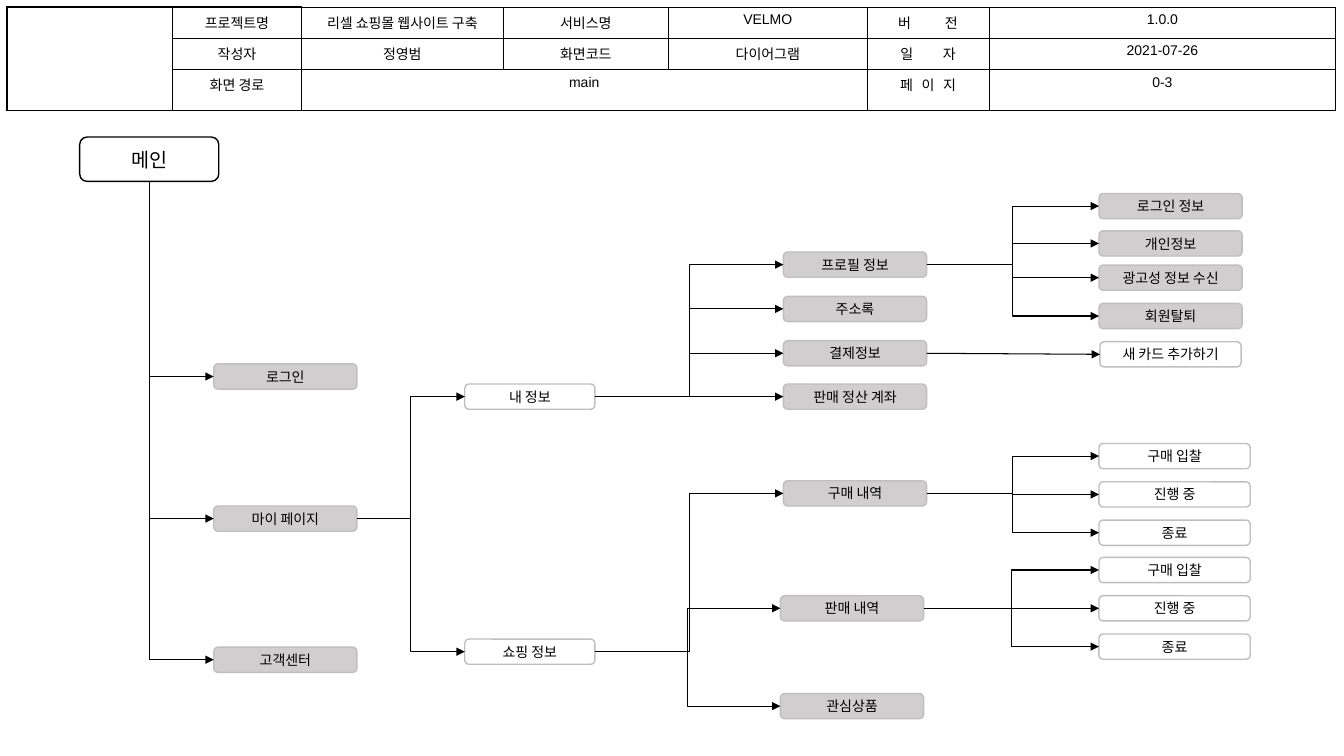
from collections import namedtuple

from lxml import etree
from pptx import Presentation
from pptx import util as u
from pptx.dml.color import RGBColor
from pptx.enum import shapes, text
from pptx.oxml import ns

BLACK, WHITE, GRAY, EDGE = "000000", "FFFFFF", "D0CECE", "BFBFBF"
HEADER_COLUMNS = [1.64, 1.28, 2, 1.64, 1.97, 1.21, 1.72, 1.72]
HEADER_ROWS = [0.31, 0.31, 0.37]
# (row, column): text, columns spanned, letter spacing in points
HEADER_CELLS = {
    (0, 1): ("프로젝트명", 1, 0),
    (0, 2): ("리셀 쇼핑몰 웹사이트 구축", 1, 0),
    (0, 3): ("서비스명", 1, 0),
    (0, 4): ("VELMO", 1, 0),
    (0, 5): ("버 전", 1, 11),
    (0, 6): ("1.0.0", 2, 0),
    (1, 1): ("작성자", 1, 0),
    (1, 2): ("정영범", 1, 0),
    (1, 3): ("화면코드", 1, 0),
    (1, 4): ("다이어그램", 1, 0),
    (1, 5): ("일 자", 1, 9.5),
    (1, 6): ("2021-07-26", 2, 0),
    (2, 1): ("화면 경로", 1, 0),
    (2, 2): ("main", 3, 0),
    (2, 5): ("페 이 지", 1, 2),
    (2, 6): ("0-3", 2, 0),
}

# Site map: positions are offsets inside the diagram area
Page = namedtuple("Page", "name x y width fill children", defaults=[()])


def order_states(y):
    names = ["구매 입찰", "진행 중", "종료"]
    return [Page(name, 10.11, y + 0.38 * i, 1.5, WHITE) for i, name in enumerate(names)]


PROFILE = [
    Page("로그인 정보", 10.11, 0.56, 1.42, GRAY),
    Page("개인정보", 10.11, 0.93, 1.42, GRAY),
    Page("광고성 정보 수신", 10.11, 1.27, 1.42, GRAY),
    Page("회원탈퇴", 10.11, 1.65, 1.42, GRAY),
]
MY_INFO = [
    Page("프로필 정보", 6.98, 1.14, 1.42, GRAY, PROFILE),
    Page("주소록", 6.98, 1.58, 1.42, GRAY),
    Page("결제정보", 6.98, 2.02, 1.42, GRAY,
         [Page("새 카드 추가하기", 10.12, 2.03, 1.4, WHITE)]),
    Page("판매 정산 계좌", 6.98, 2.45, 1.42, GRAY),
]
SHOPPING_INFO = [
    Page("구매 내역", 6.98, 3.41, 1.42, GRAY, order_states(3.04)),
    Page("판매 내역", 6.95, 4.55, 1.42, GRAY, order_states(4.17)),
    Page("관심상품", 6.95, 5.52, 1.42, GRAY),
]
MY_PAGE = [
    Page("내 정보", 3.82, 2.45, 1.29, WHITE, MY_INFO),
    Page("쇼핑 정보", 3.82, 4.98, 1.29, WHITE, SHOPPING_INFO),
]
MAIN = Page("메인", 0, 0, 1.38, WHITE, [
    Page("로그인", 1.33, 2.25, 1.42, GRAY),
    Page("마이 페이지", 1.33, 3.66, 1.42, GRAY, MY_PAGE),
    Page("고객센터", 1.33, 5.06, 1.42, GRAY),
])


def color(value):
    return RGBColor.from_string(value)


def write_text(frame, content, size=10, fill=BLACK, spacing=0):
    paragraph = frame.paragraphs[0]
    paragraph.alignment = text.PP_ALIGN.CENTER
    # Letter spacing leaves out the last letter, so the text stays centred
    parts = [(content[:-1], spacing), (content[-1], 0)] if spacing else [(content, 0)]
    for part, gap in parts:
        run = paragraph.add_run()
        run.text = part
        run.font.size = u.Pt(size)
        run.font.name = "Arial"
        run.font.color.rgb = color(fill)
        if gap:
            run.font._element.set("spc", str(round(gap * 100)))


def add_borders(cell, widths):
    properties = cell._tc.get_or_add_tcPr()
    for position, (side, width) in enumerate(zip("LRTB", widths)):
        line = etree.Element(ns.qn(f"a:ln{side}"), w=str(u.Pt(width)))
        fill = etree.SubElement(line, ns.qn("a:solidFill"))
        etree.SubElement(fill, ns.qn("a:srgbClr"), val=BLACK)
        properties.insert(position, line)


def add_header(slide, left, top):
    frame = slide.shapes.add_table(
        len(HEADER_ROWS), len(HEADER_COLUMNS), u.Inches(left), u.Inches(top),
        u.Inches(sum(HEADER_COLUMNS)), u.Inches(sum(HEADER_ROWS)))
    table = frame.table
    table.first_row = table.horz_banding = False
    for column, width in zip(table.columns, HEADER_COLUMNS):
        column.width = u.Inches(width)
    for row, height in zip(table.rows, HEADER_ROWS):
        row.height = u.Inches(height)

    # Grid lines, heavier around the first two columns
    border_widths = {0: [1] * 4, 1: [1, 0.75, 1, 1]}
    for r in range(len(HEADER_ROWS)):
        for c in range(len(HEADER_COLUMNS)):
            cell = table.cell(r, c)
            cell.fill.background()
            add_borders(cell, border_widths.get(c, [0.75] * 4))

    # Empty block on the left, then labels and values
    table.cell(0, 0).merge(table.cell(2, 0))
    for (r, c), (content, span, spacing) in HEADER_CELLS.items():
        if span > 1:
            table.cell(r, c).merge(table.cell(r, c + span - 1))
        write_text(table.cell(r, c).text_frame, content, spacing=spacing)


def add_page(slide, page, left, top, height=0.25, size=10, edge=EDGE):
    shape = slide.shapes.add_shape(
        shapes.MSO_SHAPE.ROUNDED_RECTANGLE, u.Inches(left + page.x),
        u.Inches(top + page.y), u.Inches(page.width), u.Inches(height))
    shape.shadow.inherit = False
    shape.fill.solid()
    shape.fill.fore_color.rgb = color(page.fill)
    shape.line.color.rgb = color(edge)
    shape.line.width = u.Pt(1)
    shape.text_frame.vertical_anchor = text.MSO_ANCHOR.MIDDLE
    write_text(shape.text_frame, page.name, size=size)
    return shape


def add_arrow(slide, parent, child, kind, from_bottom=False):
    connector = slide.shapes.add_connector(kind, 0, 0, 0, 0)
    connector.begin_connect(parent, 2 if from_bottom else 3)
    connector.end_connect(child, 1)
    connector.line.color.rgb = color(BLACK)
    connector.line.width = u.Pt(0.75)
    etree.SubElement(connector.line._get_or_add_ln(), ns.qn("a:tailEnd"), type="triangle")
    properties = connector._element.spPr
    etree.SubElement(properties, ns.qn("a:effectLst"))
    if from_bottom:
        # Down first, then right: a one-corner elbow turned on its side
        across, down = connector.width, connector.height
        connector.left += (across - down) // 2
        connector.top += (down - across) // 2
        connector.width, connector.height = down, across
        properties.xfrm.set("rot", "16200000")
        properties.xfrm.set("flipH", "1")
        properties.find(ns.qn("a:prstGeom")).set("prst", "bentConnector2")


def add_branches(slide, page, shape, left, top, from_bottom=False):
    single = len(page.children) == 1
    kind = shapes.MSO_CONNECTOR.STRAIGHT if single else shapes.MSO_CONNECTOR.ELBOW
    for child in page.children:
        child_shape = add_page(slide, child, left, top)
        add_arrow(slide, shape, child_shape, kind, from_bottom)
        add_branches(slide, child, child_shape, left, top)


def add_site_map(slide, left, top):
    main_shape = add_page(slide, MAIN, left, top, height=0.44, size=14, edge=BLACK)
    add_branches(slide, MAIN, main_shape, left, top, from_bottom=True)


def main():
    presentation = Presentation()
    presentation.slide_width = u.Inches(13.33)
    presentation.slide_height = u.Inches(7.5)
    slide = presentation.slides.add_slide(presentation.slide_layouts[6])
    add_header(slide, 0.07, 0.07)
    add_site_map(slide, 0.79, 1.36)
    presentation.save("out.pptx")


if __name__ == "__main__":
    main()
